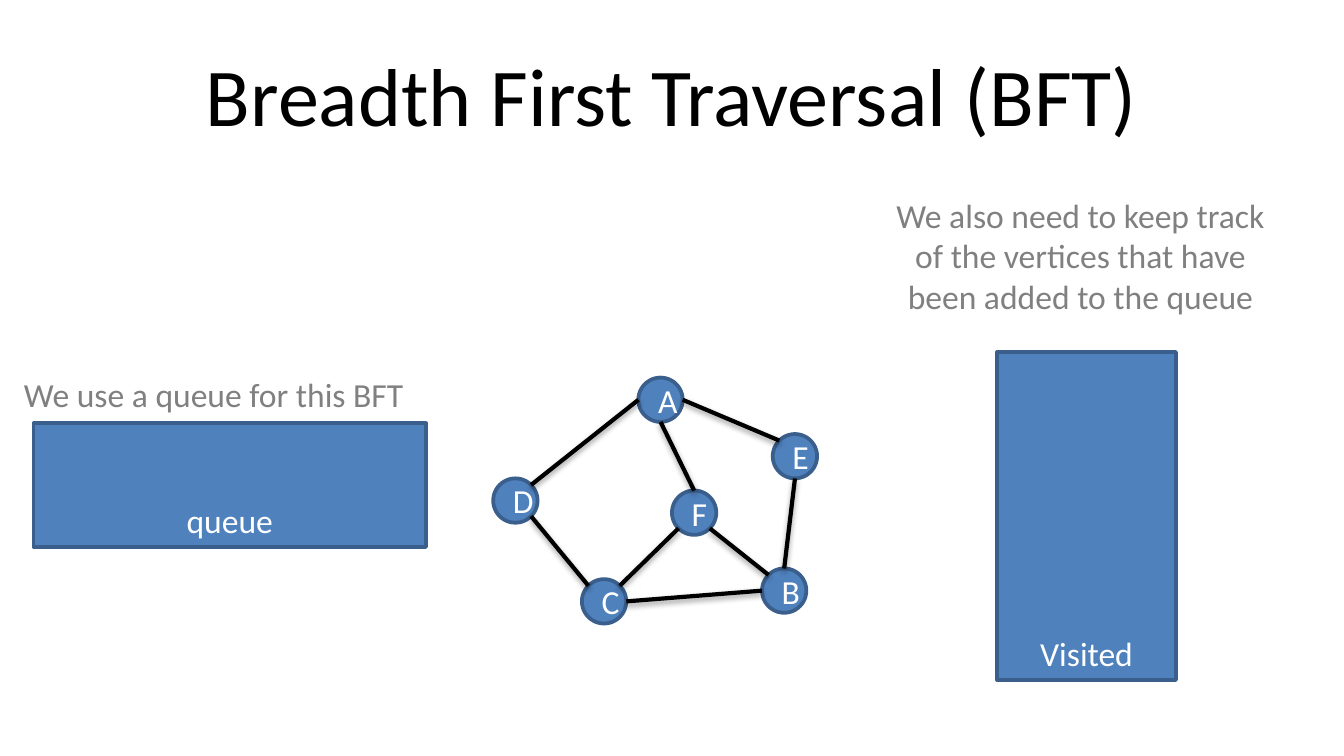
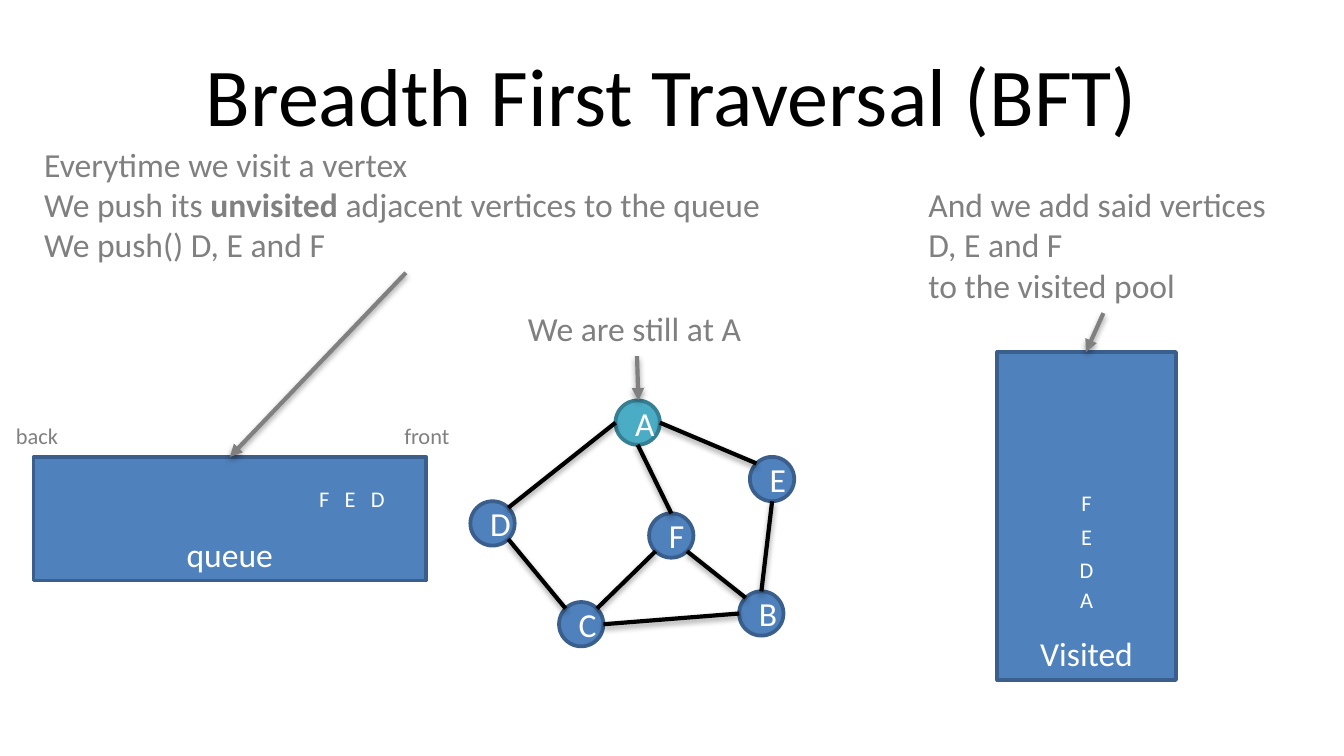
from math import sqrt

from lxml.etree import SubElement
from pptx import Presentation
from pptx.dml.color import RGBColor
from pptx.enum.shapes import MSO_CONNECTOR, MSO_SHAPE
from pptx.enum.text import MSO_ANCHOR, MSO_AUTO_SIZE, PP_ALIGN
from pptx.oxml.ns import qn
from pptx.util import Inches, Pt

FONT = "Calibri"
BLACK = RGBColor(0x00, 0x00, 0x00)
WHITE = RGBColor(0xFF, 0xFF, 0xFF)
GRAY = RGBColor(0x80, 0x80, 0x80)
BLUE = RGBColor(0x4F, 0x81, 0xBD)
DARK_BLUE = RGBColor(0x3A, 0x5F, 0x8C)
TEAL = RGBColor(0x4B, 0xAC, 0xC6)
DARK_TEAL = RGBColor(0x37, 0x7F, 0x92)

TITLE = "Breadth First Traversal (BFT)"
VISITED_BOX = (7.42, 2.62, 1.33, 2.44)
NODE_SIZE = 0.33
TOKEN_GAP = 5.4  # extra points between queued letters

# Vertices: left and top, relative to the graph's own corner
VERTICES = {
    "A": (1.08, 0), "C": (0.66, 1.5), "B": (2, 1.42),
    "D": (0, 0.75), "E": (2.08, 0.42), "F": (1.33, 0.84),
}
# Edges: vertex and side it leaves, vertex and side it reaches
EDGES = [
    ("A", "left", "D", "top right"),
    ("C", "top left", "D", "bottom right"),
    ("C", "top right", "F", "bottom left"),
    ("B", "top left", "F", "bottom right"),
    ("E", "bottom", "B", "top"),
    ("E", "top left", "A", "right"),
    ("B", "left", "C", "right"),
    ("A", "bottom", "F", "top"),
]
DIRECTIONS = {"left": (-1, 0), "right": (1, 0), "top": (0, -1), "bottom": (0, 1)}

# Notes: place, paragraphs as lists of (words, bold), size, alignment, wrap
SLIDES = [
    {
        "queue_top": 3.15,
        "graph": (3.67, 2.81),
        "current": None,
        "queued": "",
        "visited": [],
        "notes": [
            ((0.08, 2.73, 3.06, 0.4),
             [[("We use a queue for this BFT", False)]], 18, PP_ALIGN.LEFT, False),
            ((6.5, 1.4, 3.08, 1.01),
             [[("We also need to keep track of the vertices that have "
                "been added to the queue", False)]], 18, PP_ALIGN.CENTER, True),
        ],
        "arrows": [],
    },
    {
        "queue_top": 3.4,
        "graph": (3.5, 2.98),
        "current": "A",
        "queued": "FED",
        "visited": [("A", 4.31), ("D", 4.09), ("E", 3.84), ("F", 3.59)],
        "notes": [
            ((3.83, 2.24, 1.81, 0.4),
             [[("We are still at A", False)]], 18, PP_ALIGN.LEFT, False),
            ((0.23, 1.02, 5.59, 1.01),
             [[("Everytime we visit a vertex", False)],
              [("We push its ", False), ("unvisited", True),
               (" adjacent vertices to the queue", False)],
              [("We push() D, E and F", False)]], 18, PP_ALIGN.LEFT, False),
            ((6.81, 1.32, 2.8, 1.01),
             [[("And we add said vertices", False)],
              [("D, E and F", False)],
              [("to the visited pool", False)]], 18, PP_ALIGN.LEFT, False),
            ((0.02, 3.09, 0.52, 0.3),
             [[("back", False)]], 12, PP_ALIGN.LEFT, False),
            ((2.91, 3.09, 0.54, 0.3),
             [[("front", False)]], 12, PP_ALIGN.LEFT, False),
        ],
        "arrows": [
            ((4.74, 2.65), (4.75, 2.98)),
            ((3.02, 2.03), (1.71, 3.4)),
            ((8.21, 2.33), (8.08, 2.62)),
        ],
    },
]


def add_span(para, words, size, color, bold=False):
    """Add one styled run to a paragraph."""
    span = para.add_run()
    span.text = words
    span.font.name = FONT
    span.font.size = Pt(size)
    span.font.color.rgb = color
    span.font.bold = bold
    return span


def add_text(page, place, paragraphs, size, color, align, wrap=True):
    """Add a text box that grows with its paragraphs."""
    box = page.shapes.add_textbox(*map(Inches, place))
    frame = box.text_frame
    frame.word_wrap = wrap
    frame.auto_size = MSO_AUTO_SIZE.SHAPE_TO_FIT_TEXT
    for index, spans in enumerate(paragraphs):
        para = frame.add_paragraph() if index else frame.paragraphs[0]
        para.alignment = align
        for words, bold in spans:
            add_span(para, words, size, color, bold)
    return box


def add_title(page):
    """Add the shared slide title."""
    box = add_text(page, (0.5, 0.23, 9, 0.94), [[(TITLE, False)]],
                   44, BLACK, PP_ALIGN.CENTER)
    box.text_frame.auto_size = MSO_AUTO_SIZE.NONE
    box.text_frame.vertical_anchor = MSO_ANCHOR.MIDDLE


def add_labelled_shape(page, kind, place, label, anchor, fill=BLUE, outline=DARK_BLUE):
    """Add a filled shape with a white label."""
    shape = page.shapes.add_shape(kind, *map(Inches, place))
    shape.shadow.inherit = False
    shape.fill.solid()
    shape.fill.fore_color.rgb = fill
    shape.line.color.rgb = outline
    shape.line.width = Pt(2)
    shape.text_frame.vertical_anchor = anchor
    para = shape.text_frame.paragraphs[0]
    para.alignment = PP_ALIGN.CENTER
    add_span(para, label, 18, WHITE)


def add_line(page, start, end, color, arrow=False):
    """Add a straight line with a soft shadow and an optional arrowhead."""
    line = page.shapes.add_connector(MSO_CONNECTOR.STRAIGHT, *map(Inches, start + end))
    line.line.color.rgb = color
    line.line.width = Pt(2.25)
    properties = line._element.spPr
    if arrow:
        SubElement(properties.find(qn("a:ln")), qn("a:tailEnd"), type="triangle")
    effects = SubElement(properties, qn("a:effectLst"))
    shadow = SubElement(effects, qn("a:outerShdw"), blurRad="40000", dist="20000",
                        dir="5400000", rotWithShape="0")
    shade = SubElement(shadow, qn("a:srgbClr"), val=str(BLACK))
    SubElement(shade, qn("a:alpha"), val="38000")


def rim_point(corner, vertex, side):
    """Return the point on a vertex's rim that faces the named side."""
    steps = [DIRECTIONS[word] for word in side.split()]
    reach = NODE_SIZE / 2 / sqrt(len(steps))
    return tuple(
        corner[axis] + VERTICES[vertex][axis] + NODE_SIZE / 2
        + reach * sum(step[axis] for step in steps)
        for axis in (0, 1)
    )


def add_graph(page, corner, current):
    """Draw the vertices, then the edges, with the current vertex in teal."""
    for name, (left, top) in VERTICES.items():
        colors = (TEAL, DARK_TEAL) if name == current else (BLUE, DARK_BLUE)
        place = (corner[0] + left, corner[1] + top, NODE_SIZE, NODE_SIZE)
        add_labelled_shape(page, MSO_SHAPE.OVAL, place, name, MSO_ANCHOR.MIDDLE, *colors)
    for first, first_side, second, second_side in EDGES:
        add_line(page, rim_point(corner, first, first_side),
                 rim_point(corner, second, second_side), BLACK)


def add_queued(page, letters, queue_top):
    """Write the queued letters, widely spaced, at the front of the queue."""
    spans = [(char, False) for char in " ".join(letters)]
    box = add_text(page, (0.42, queue_top + 0.16, 2.54, 0.3), [spans],
                   12, WHITE, PP_ALIGN.RIGHT)
    for span in box.text_frame.paragraphs[0].runs:
        if span.text == " ":
            span.font._element.set("spc", str(round(TOKEN_GAP * 100)))


def build_page(deck, content):
    """Build one step of the traversal."""
    page = deck.slides.add_slide(deck.slide_layouts[6])
    add_title(page)
    queue_box = (0.25, content["queue_top"], 2.92, 0.92)
    for place, label in ((queue_box, "queue"), (VISITED_BOX, "Visited")):
        add_labelled_shape(page, MSO_SHAPE.RECTANGLE, place, label, MSO_ANCHOR.BOTTOM)
    add_graph(page, content["graph"], content["current"])
    if content["queued"]:
        add_queued(page, content["queued"], content["queue_top"])
    for letter, top in content["visited"]:
        add_text(page, (7.92, top, 0.33, 0.3), [[(letter, False)]],
                 12, WHITE, PP_ALIGN.CENTER)
    for place, paragraphs, size, align, wrap in content["notes"]:
        add_text(page, place, paragraphs, size, GRAY, align, wrap)
    for start, end in content["arrows"]:
        add_line(page, start, end, GRAY, arrow=True)


deck = Presentation()
deck.slide_width = Inches(10)
deck.slide_height = deck.slide_width * 9 // 16
for slide_content in SLIDES:
    build_page(deck, slide_content)
deck.save("out.pptx")
